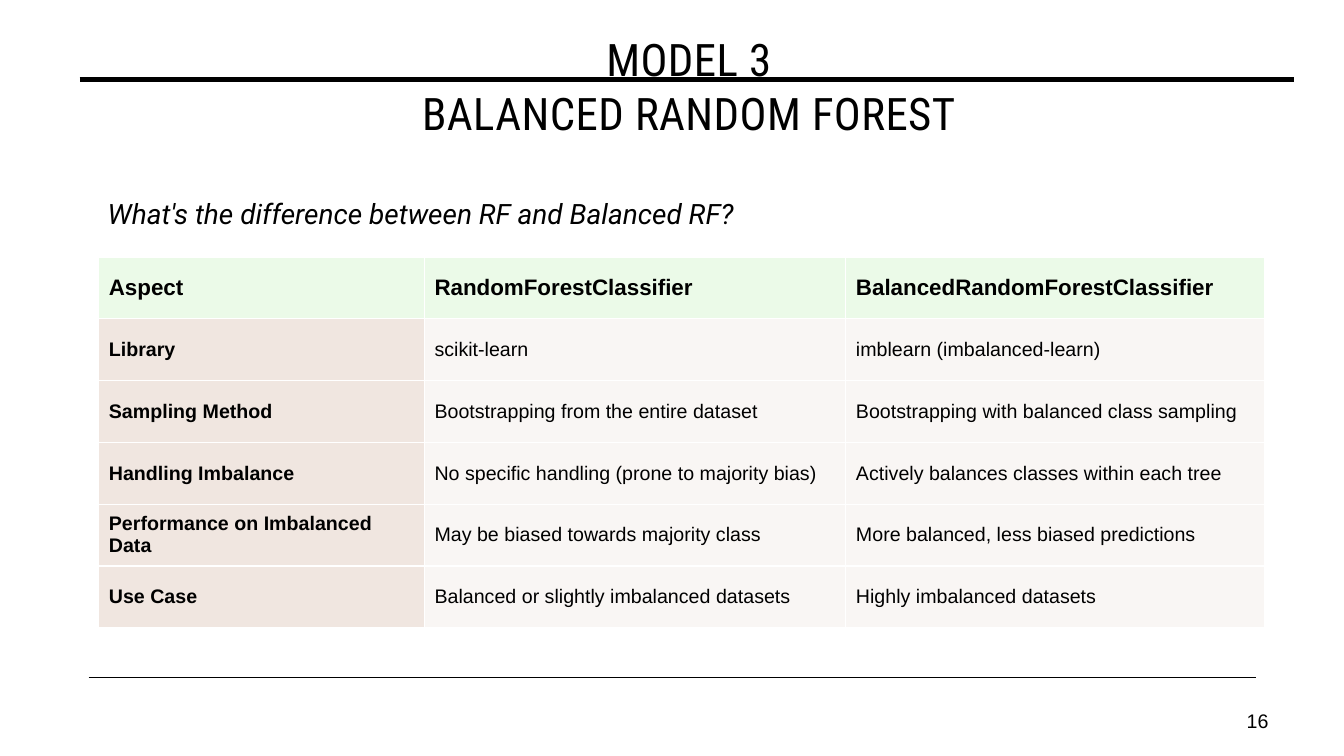
from lxml.etree import SubElement
from pptx import Presentation
from pptx.dml.color import RGBColor
from pptx.enum.shapes import MSO_CONNECTOR
from pptx.enum.text import MSO_ANCHOR, PP_ALIGN
from pptx.oxml.ns import qn
from pptx.util import Inches, Pt


def color(value):
    return RGBColor.from_string(value)


def add_run(p, text, font, size, bold=False, italic=False):
    r = p.add_run()
    r.text = text
    r.font.name = font
    r.font.size = Pt(size)
    r.font.bold = bold
    r.font.italic = italic
    r.font.color.rgb = color("000000")
    return r


prs = Presentation()
prs.slide_width = Inches(13.33)
prs.slide_height = Inches(7.5)
s = prs.slides.add_slide(prs.slide_layouts[5])
s.background.fill.solid()
s.background.fill.fore_color.rgb = color("FFFFFF")

for x1, x2, y, width in [
    (0.88, 12.46, 0.79, 3.5),
    (0.88, 12.46, 6.72, 1),
    (0.79, 12.83, 0.79, 3.5),
]:
    line = s.shapes.add_connector(
        MSO_CONNECTOR.STRAIGHT, Inches(x1), Inches(y), Inches(x2), Inches(y))
    line.line.color.rgb = color("000000")
    line.line.width = Pt(width)
    SubElement(line._element.spPr, qn("a:effectLst"))

title = s.shapes.title
s.shapes._spTree.append(title._element)
title.left, title.top = Inches(0.8), Inches(0.26)
title.width, title.height = Inches(12.07), Inches(2.11)
tf = title.text_frame
tf.word_wrap = True
tf.vertical_anchor = MSO_ANCHOR.TOP
p = tf.paragraphs[0]
p.alignment = PP_ALIGN.CENTER
p.line_spacing = Pt(38.5)
for i, text in enumerate(["MODEL 3", "BALANCED RANDOM FOREST"]):
    if i:
        p.add_line_break()
    r = add_run(p, text, "Roboto Condensed", 32)
    r.font._element.set("spc", "30")

question = s.shapes.add_textbox(Inches(0.97), Inches(1.87), Inches(6.69), Inches(0.68))
tf = question.text_frame
tf.word_wrap = True
p = tf.paragraphs[0]
p.line_spacing = 1.1
p.space_after = Pt(12)
add_run(p, "What's the difference between RF and Balanced RF?", "Roboto", 20, italic=True)

number = s.shapes.add_textbox(Inches(11.94), Inches(6.95), Inches(0.74), Inches(0.4))
tf = number.text_frame
tf.word_wrap = True
tf.vertical_anchor = MSO_ANCHOR.MIDDLE
p = tf.paragraphs[0]
p.alignment = PP_ALIGN.RIGHT
add_run(p, "16", "Arial", 14)

rows = [
    ["Aspect", "RandomForestClassifier", "BalancedRandomForestClassifier"],
    ["Library", "scikit-learn", "imblearn (imbalanced-learn)"],
    ["Sampling Method", "Bootstrapping from the entire dataset",
     "Bootstrapping with balanced class sampling"],
    ["Handling Imbalance", "No specific handling (prone to majority bias)",
     "Actively balances classes within each tree"],
    ["Performance on Imbalanced Data", "May be biased towards majority class",
     "More balanced, less biased predictions"],
    ["Use Case", "Balanced or slightly imbalanced datasets", "Highly imbalanced datasets"],
]
table = s.shapes.add_table(
    len(rows), 3, Inches(0.98), Inches(2.55), Inches(11.56), Inches(3.68)).table
for column, width in zip(table.columns, [3.23, 4.18, 4.15]):
    column.width = Inches(width)

for i, row in enumerate(rows):
    for j, text in enumerate(row):
        cell = table.cell(i, j)
        cell.vertical_anchor = MSO_ANCHOR.MIDDLE
        add_run(cell.text_frame.paragraphs[0], text, "Arial",
                14 if i else 16, bold=i == 0 or j == 0)
        tcPr = cell._tc.get_or_add_tcPr()
        for side in ["a:lnL", "a:lnR", "a:lnT", "a:lnB"]:
            ln = SubElement(tcPr, qn(side), w=str(Pt(1)))
            SubElement(SubElement(ln, qn("a:solidFill")), qn("a:srgbClr"), val="FFFFFF")
        if i == 0:
            fill, alpha = "EBFAE8", 100
        elif j == 0:
            fill, alpha = "E8DAD0", 65
        else:
            fill, alpha = "F8F4F1", 78
        cell.fill.solid()
        cell.fill.fore_color.rgb = color(fill)
        if alpha < 100:
            srgb = tcPr.find(qn("a:solidFill")).find(qn("a:srgbClr"))
            SubElement(srgb, qn("a:alpha"), val=str(alpha * 1000))

prs.save("out.pptx")
